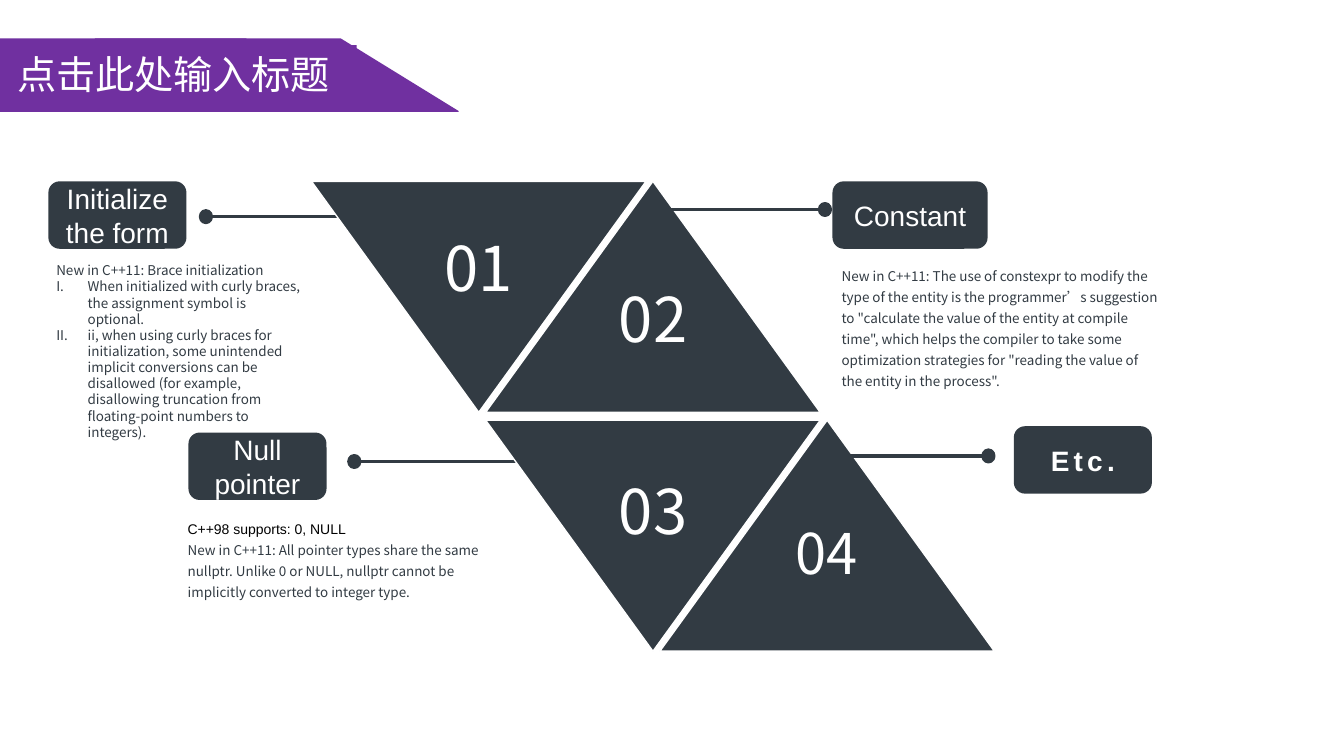
from lxml.etree import SubElement
from pptx import Presentation
from pptx.dml.color import RGBColor
from pptx.enum.shapes import MSO_CONNECTOR, MSO_SHAPE
from pptx.enum.text import MSO_ANCHOR, PP_ALIGN
from pptx.oxml.ns import qn
from pptx.util import Cm, Pt

SLATE = RGBColor(0x32, 0x3B, 0x43)
PURPLE = RGBColor(0x70, 0x30, 0xA0)
WHITE = RGBColor(0xFF, 0xFF, 0xFF)
BLACK = RGBColor(0, 0, 0)
SANS = "Noto Sans CJK SC"
ARIAL = "Arial"

TITLE = "点击此处输入标题"
TRIANGLES = [
    ("01", 44, (10.9, 5.66, 2.34, 2.13)),
    ("02", 44, (15.29, 6.96, 2.34, 2.13)),
    ("03", 44, (15.29, 11.79, 2.34, 2.13)),
    ("04", 40, (19.74, 12.95, 2.18, 1.96)),
]
LABELS = [
    ("Initialize the form", (1.22, 4.57, 3.48, 1.7), {}),
    ("Constant", (20.98, 4.57, 3.91, 1.7), {}),
    ("Null pointer", (4.75, 10.9, 3.48, 1.7), {}),
    ("Etc.", (25.55, 10.74, 3.48, 1.7), {"bold": True, "tracking": 3}),
]
NOTE = {"size": 9.6, "color": SLATE, "font": SANS}
NUMBERED = {**NOTE, "numbered": True}
SPACED = {**NOTE, "spacing": 1.3}
NOTES = [
    ((1.19, 6.5, 6.63, 4.72), [
        ("New in C++11: Brace initialization", NOTE),
        ("When initialized with curly braces, the assignment symbol is optional.", NUMBERED),
        ("ii, when using curly braces for initialization, some unintended implicit "
         "conversions can be disallowed (for example, disallowing truncation from "
         "floating-point numbers to integers).", NUMBERED),
    ]),
    ((20.98, 6.53, 8.43, 3.38), [
        ("New in C++11: The use of constexpr to modify the type of the entity is the "
         "programmer’s suggestion to \"calculate the value of the entity at compile "
         "time\", which helps the compiler to take some optimization strategies for "
         "\"reading the value of the entity in the process\".", SPACED),
    ]),
    ((4.5, 12.88, 8.43, 2.34), [
        ("C++98 supports: 0, NULL",
         {"size": 10, "color": BLACK, "font": ARIAL, "spacing": 1.3}),
        ("New in C++11: All pointer types share the same nullptr. Unlike 0 or NULL, "
         "nullptr cannot be implicitly converted to integer type.", SPACED),
    ]),
]
LEFT_DOTS = [(5.05, 5.46), (8.79, 11.63)]
RIGHT_DOTS = [(20.65, 5.28), (24.77, 11.49)]
LEADER = 4.37
DOT_WIDTH, DOT_HEIGHT = 0.28, 0.3
TRIANGLE_WIDTH, TRIANGLE_HEIGHT = 8.43, 5.82
TRIANGLE_LEFT, TRIANGLE_TOP = 7.85, 4.57
COLUMN_STEP, ROW_STEP = 4.39, 6.02
BANNER_LEFTS = [2.39, 0]
BANNER_OUTLINE = [(6.2, 0), (9.17, 1.83), (9.17, 1.85), (0, 1.85), (0, 0)]
BANNER_TOP = 0.97

deck = Presentation()
deck.slide_width, deck.slide_height = Cm(33.87), Cm(19.05)
slide = deck.slides.add_slide(deck.slide_layouts[6])
shapes = slide.shapes


def write(paragraph, text, size, color=WHITE, font=ARIAL, align=PP_ALIGN.LEFT,
          bold=False, tracking=0, spacing=None, numbered=False):
    paragraph.alignment = align
    if spacing:
        paragraph.line_spacing = spacing
    if numbered:
        properties = paragraph._p.get_or_add_pPr()
        properties.set("marL", str(Cm(0.79)))
        properties.set("indent", str(-Cm(0.79)))
        SubElement(properties, qn("a:buFont"), typeface="+mj-lt")
        SubElement(properties, qn("a:buAutoNum"), type="romanUcPeriod")
    run = paragraph.add_run()
    run.text = text
    run.font.size = Pt(size)
    run.font.name = font
    run.font.bold = bold
    run.font.color.rgb = color
    SubElement(run._r.rPr, qn("a:ea"), typeface=SANS)
    if tracking:
        run._r.rPr.set("spc", str(tracking * 100))


def paint(shape, fill, outline=None, weight=1):
    shape.shadow.inherit = False
    shape.fill.solid()
    shape.fill.fore_color.rgb = fill
    if outline is None:
        shape.line.fill.background()
    else:
        shape.line.color.rgb = outline
        shape.line.width = Pt(weight)


def add_box(preset, box, fill, outline=None, weight=1):
    shape = shapes.add_shape(preset, *map(Cm, box))
    paint(shape, fill, outline, weight)
    return shape


def add_leader(dot_left, middle, start):
    line = shapes.add_connector(MSO_CONNECTOR.STRAIGHT, Cm(start), Cm(middle),
                                Cm(start + LEADER), Cm(middle))
    line.line.color.rgb = SLATE
    line.line.width = Pt(2.25)
    SubElement(line._element.spPr, qn("a:effectLst"))
    add_box(MSO_SHAPE.OVAL, (dot_left, middle - DOT_HEIGHT / 2, DOT_WIDTH, DOT_HEIGHT),
            SLATE, SLATE, 2.25)


for dot_left, middle in LEFT_DOTS:
    add_leader(dot_left, middle, dot_left + DOT_WIDTH / 2)

for index, (number, size, number_box) in enumerate(TRIANGLES):
    row, column = divmod(index, 2)
    triangle = add_box(
        MSO_SHAPE.ISOSCELES_TRIANGLE,
        (TRIANGLE_LEFT + COLUMN_STEP * (row + column), TRIANGLE_TOP + ROW_STEP * row,
         TRIANGLE_WIDTH, TRIANGLE_HEIGHT),
        SLATE, WHITE)
    triangle.rotation = 0 if column else 180
    frame = add_box(MSO_SHAPE.RECTANGLE, number_box, SLATE).text_frame
    frame.word_wrap = False
    frame.vertical_anchor = MSO_ANCHOR.TOP
    write(frame.paragraphs[0], number, size, font=SANS, align=PP_ALIGN.CENTER)

for dot_left, middle in RIGHT_DOTS:
    add_leader(dot_left, middle, dot_left - LEADER)

for note_box, paragraphs in NOTES:
    frame = shapes.add_textbox(*map(Cm, note_box)).text_frame
    frame.word_wrap = True
    frame.margin_left = frame.margin_right = Cm(0.23)
    frame.margin_top = frame.margin_bottom = Cm(0.11)
    for index, (text, style) in enumerate(paragraphs):
        write(frame.add_paragraph() if index else frame.paragraphs[0], text, **style)

for label, label_box, style in LABELS:
    frame = add_box(MSO_SHAPE.ROUNDED_RECTANGLE, label_box, SLATE).text_frame
    frame.word_wrap = True
    frame.vertical_anchor = MSO_ANCHOR.MIDDLE
    write(frame.paragraphs[0], label, 20, align=PP_ALIGN.CENTER, **style)

for banner_left in BANNER_LEFTS:
    corners = [(Cm(banner_left + x), Cm(BANNER_TOP + y)) for x, y in BANNER_OUTLINE]
    outline = shapes.build_freeform(*corners[0])
    outline.add_line_segments(corners[1:], close=True)
    paint(outline.convert_to_shape(), PURPLE)

title_frame = add_box(MSO_SHAPE.RECTANGLE, (0.18, 1.14, 8.81, 1.45), PURPLE).text_frame
title_frame.word_wrap = True
title_frame.vertical_anchor = MSO_ANCHOR.TOP
write(title_frame.paragraphs[0], TITLE, 28)

deck.save("out.pptx")
